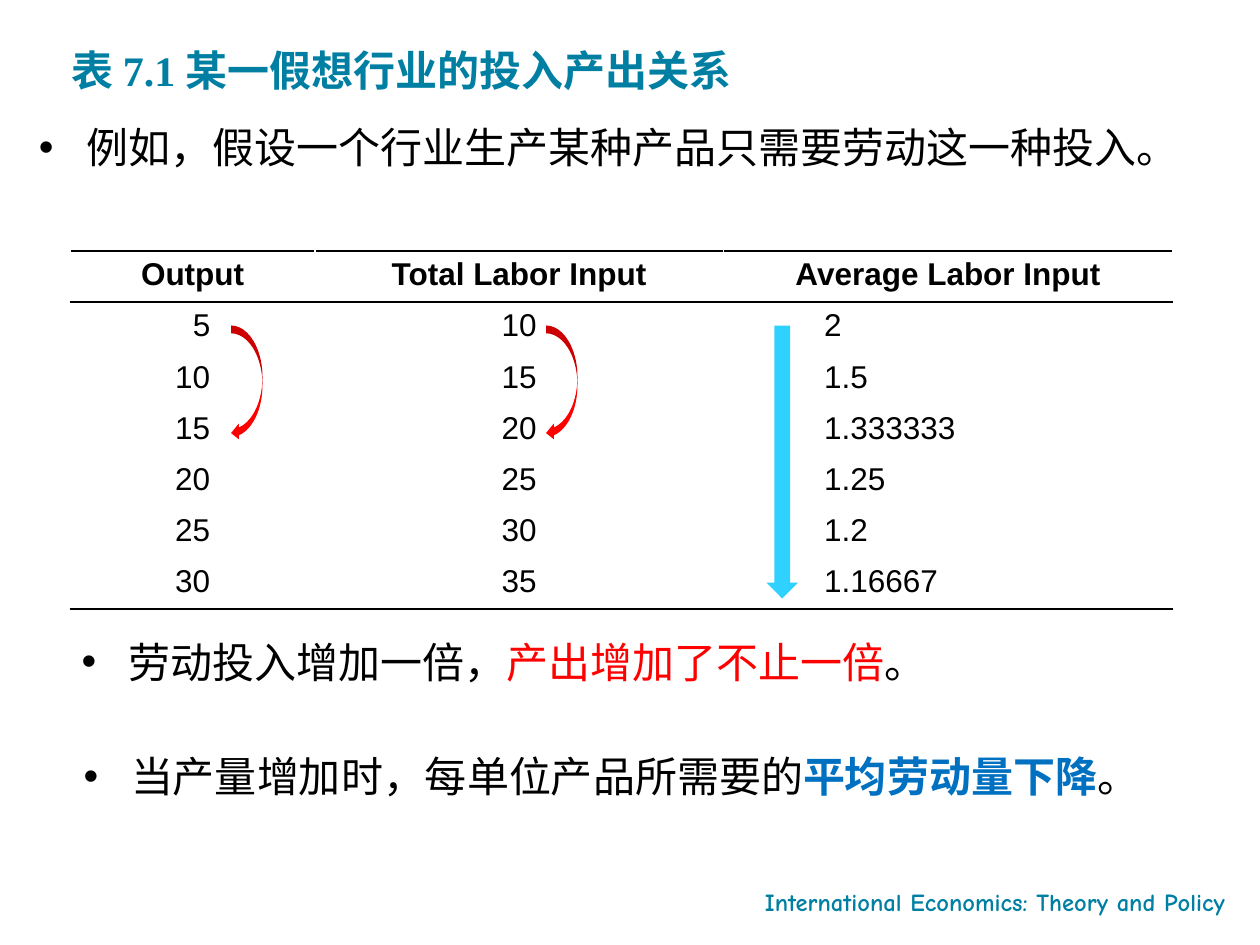
"""Build the slide on the input-output relation of a hypothetical industry."""
from dataclasses import dataclass

from lxml.etree import SubElement
from pptx import Presentation
from pptx.dml.color import RGBColor
from pptx.enum.shapes import MSO_SHAPE
from pptx.enum.text import MSO_ANCHOR, MSO_AUTO_SIZE, PP_ALIGN
from pptx.oxml.ns import qn
from pptx.util import Emu, Inches, Pt

BLACK = RGBColor(0x00, 0x00, 0x00)
WHITE = RGBColor(0xFF, 0xFF, 0xFF)
TEAL = RGBColor(0x00, 0x7F, 0xA3)
RED = RGBColor(0xFF, 0x00, 0x00)
BLUE = RGBColor(0x00, 0x70, 0xC0)
SKY = RGBColor(0x2F, 0xD1, 0xFF)

WIDTH, HEIGHT = Inches(10), Inches(7.5)
COLS = 120
UNIT = WIDTH // COLS


def span(count: float) -> Emu:
    return Emu(round(count * UNIT))


@dataclass(frozen=True)
class Box:
    col: float
    row: float
    wide: float
    high: float

    def rect(self) -> tuple[Emu, ...]:
        return tuple(map(span, (self.col, self.row, self.wide, self.high)))


@dataclass(frozen=True)
class Run:
    text: str
    color: RGBColor = BLACK
    bold: bool = False


@dataclass(frozen=True)
class Point:
    box: Box
    inset: float
    runs: tuple[Run, ...]


@dataclass(frozen=True)
class Arrow:
    kind: MSO_SHAPE
    box: Box
    color: RGBColor


TITLE = Box(6.8, 1, 113.2, 8)
FOOTER = Box(50.5, 83.9, 67.4, 4.5)
TABLE = Box(6.7, 23.9, 105, 34.1)
WIDTHS = (23.3, 38.9, 42.8)
HANG = 4.5

POINTS = (
    Point(Box(2.5, 11, 115.6, 6), 4.5,
          (Run("例如，假设一个行业生产某种产品只需要劳动这一种投入。"),)),
    Point(Box(0.6, 60, 111.1, 6), 10.5,
          (Run("劳动投入增加一倍，"), Run("产出增加了不止一倍", RED), Run("。"))),
    Point(Box(6.8, 70.9, 106.8, 6), 4.5,
          (Run("当产量增加时，每单位产品所需要的"),
           Run("平均劳动量下降", BLUE, True), Run("。"))),
)

ARROWS = (
    Arrow(MSO_SHAPE.CURVED_LEFT_ARROW, Box(52, 31, 3, 11), RED),
    Arrow(MSO_SHAPE.CURVED_LEFT_ARROW, Box(22, 31, 3, 11), RED),
    Arrow(MSO_SHAPE.DOWN_ARROW, Box(73, 31, 3, 26), SKY),
)

ROWS = (
    ("Output", "Total Labor Input", "Average Labor Input"),
    ("5", "10", "2"),
    ("10", "15", "1.5"),
    ("15", "20", "1.333333"),
    ("20", "25", "1.25"),
    ("25", "30", "1.2"),
    ("30", "35", "1.16667"),
)


def write(frame, *runs: Run, size: float = 24, font: str = "Arial",
          align: PP_ALIGN = PP_ALIGN.LEFT, inset: float = 0) -> None:
    """Fill the first paragraph with runs, with a hanging bullet if inset."""
    frame.word_wrap = True
    para = frame.paragraphs[0]
    if inset:
        props = para._p.get_or_add_pPr()
        props.set("marL", str(span(inset)))
        props.set("indent", str(-span(HANG)))
        SubElement(props, qn("a:buFont"), typeface="Arial")
        SubElement(props, qn("a:buChar"), char="•")
    para.alignment = align
    para.space_before = Pt(0)
    for item in runs:
        run = para.add_run()
        run.text = item.text
        run.font.size = Pt(size)
        run.font.name = font
        run.font.bold = item.bold
        run.font.color.rgb = item.color


def place(shape, box: Box) -> None:
    shape.left, shape.top, shape.width, shape.height = box.rect()


def head(slide) -> None:
    title = slide.shapes.title
    place(title, TITLE)
    frame = title.text_frame
    frame.margin_left = frame.margin_right = 0
    frame.margin_top = frame.margin_bottom = 0
    frame.vertical_anchor = MSO_ANCHOR.BOTTOM
    write(frame, Run("表 7.1 某一假想行业的投入产出关系", TEAL, True),
          font="Times New Roman")


def foot(slide) -> None:
    shape = slide.shapes.add_textbox(*FOOTER.rect())
    write(shape.text_frame,
          Run("International Economics: Theory and Policy", TEAL, True),
          size=14, font="Comic Neue", align=PP_ALIGN.RIGHT)


def list_point(shape, point: Point) -> None:
    place(shape, point.box)
    frame = shape.text_frame
    frame.auto_size = MSO_AUTO_SIZE.SHAPE_TO_FIT_TEXT
    write(frame, *point.runs, inset=point.inset)


def rule(cell, *sides: str) -> None:
    """Draw thin black lines on the named sides of a cell."""
    props = cell._tc.get_or_add_tcPr()
    for spot, side in enumerate(sides):
        line = props.makeelement(qn(f"a:{side}"), {"w": str(Pt(1))})
        fill = SubElement(line, qn("a:solidFill"))
        SubElement(fill, qn("a:srgbClr"), val=str(BLACK))
        props.insert(spot, line)


def draw_table(slide) -> None:
    table = slide.shapes.add_table(len(ROWS), len(WIDTHS), *TABLE.rect()).table
    table.first_row = table.horz_banding = False
    for col, wide in zip(table.columns, WIDTHS):
        col.width = span(wide)
    sides = {0: ("lnT", "lnB"), 1: ("lnT",), len(ROWS) - 1: ("lnB",)}
    for y, texts in enumerate(ROWS):
        table.rows[y].height = span(TABLE.high / len(ROWS))
        for x, text in enumerate(texts):
            cell = table.cell(y, x)
            cell.fill.solid()
            cell.fill.fore_color.rgb = WHITE
            left = y > 0 and x == 2
            if left:
                cell.margin_left = span(9.6)
            elif text == "5":
                cell.margin_left = span(2.9)
            write(cell.text_frame, Run(text, bold=y == 0), size=18,
                  align=PP_ALIGN.LEFT if left else PP_ALIGN.CENTER)
            rule(cell, *sides.get(y, ()))


def draw_arrow(slide, arrow: Arrow) -> None:
    shape = slide.shapes.add_shape(arrow.kind, *arrow.box.rect())
    shape.shadow.inherit = False
    shape.fill.solid()
    shape.fill.fore_color.rgb = arrow.color
    shape.line.fill.background()


def main() -> None:
    deck = Presentation()
    deck.slide_width, deck.slide_height = WIDTH, HEIGHT
    slide = deck.slides.add_slide(deck.slide_layouts[1])
    head(slide)
    foot(slide)
    draw_table(slide)
    first, *rest = POINTS
    list_point(slide.placeholders[1], first)
    for point in rest:
        list_point(slide.shapes.add_textbox(*point.box.rect()), point)
    for arrow in ARROWS:
        draw_arrow(slide, arrow)
    deck.save("out.pptx")


if __name__ == "__main__":
    main()
